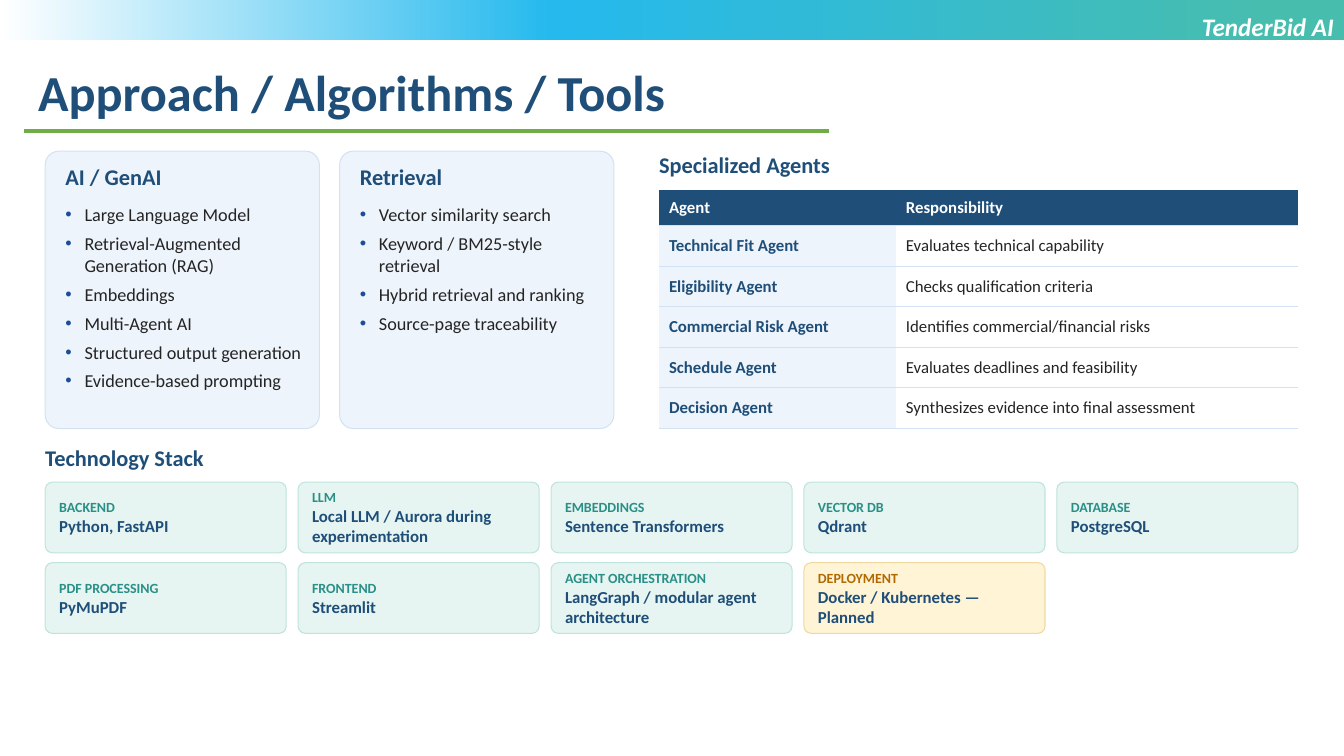
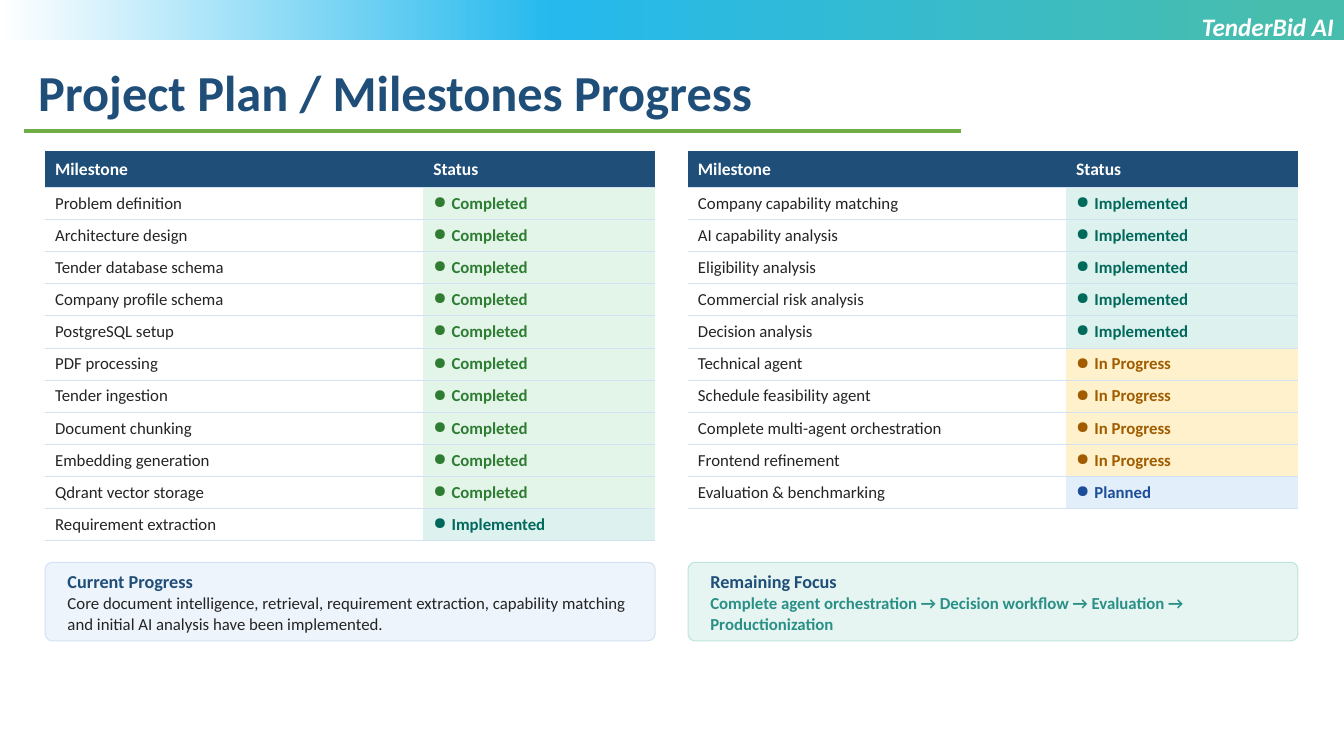
from collections import namedtuple
from copy import deepcopy

from lxml.etree import SubElement
from pptx import Presentation
from pptx.dml.color import RGBColor
from pptx.enum.shapes import MSO_CONNECTOR, MSO_SHAPE
from pptx.enum.text import MSO_ANCHOR as Anchor, MSO_AUTO_SIZE as AutoSize, PP_ALIGN as Align
from pptx.oxml.ns import qn
from pptx.util import Cm, Pt

Box = namedtuple("Box", "left top width height")
Line = namedtuple("Line", "text size color bold", defaults=[True])

FONT = "Calibri"
NAVY, INK, WHITE = "1F4E79", "242424", "FFFFFF"
BLUE, TEAL, AMBER, GREEN = "1C4D98", "2A8F86", "B26A00", "70AD47"
PALE_BLUE, BLUE_EDGE = "EEF4FB", "D3E2F3"
PALE_TEAL, TEAL_EDGE = "E6F5F2", "BFE3DC"
PALE_AMBER, AMBER_EDGE = "FFF4D6", "F0D9A0"
BAND_STOPS = [(0.05, "47BDAE"), (0.59, "25B9ED"), (1, WHITE)]
NO_TABLE_STYLE = "{2D5ABB26-0587-4C30-8999-92F81FD0307C}"
STATUS_COLORS = {
    "Completed": ("2E7D32", "E3F4E8"),
    "Implemented": ("00695C", "DDF1EE"),
    "In Progress": ("A15C00", "FFF1CC"),
    "Planned": (BLUE, "E3EEFB"),
}
SLIDE_WIDTH, SLIDE_HEIGHT = 33.87, 19.05
MARGIN, CONTENT_TOP, CONTENT_WIDTH = 1.14, 3.81, 31.57

AI_TOPICS = ["Large Language Model", "Retrieval-Augmented Generation (RAG)", "Embeddings",
             "Multi-Agent AI", "Structured output generation", "Evidence-based prompting"]
RETRIEVAL_TOPICS = ["Vector similarity search", "Keyword / BM25-style retrieval",
                    "Hybrid retrieval and ranking", "Source-page traceability"]
AGENTS = [
    ("Technical Fit Agent", "Evaluates technical capability"),
    ("Eligibility Agent", "Checks qualification criteria"),
    ("Commercial Risk Agent", "Identifies commercial/financial risks"),
    ("Schedule Agent", "Evaluates deadlines and feasibility"),
    ("Decision Agent", "Synthesizes evidence into final assessment"),
]
TECHNOLOGIES = [
    ("BACKEND", "Python, FastAPI"),
    ("LLM", "Local LLM / Aurora during experimentation"),
    ("EMBEDDINGS", "Sentence Transformers"),
    ("VECTOR DB", "Qdrant"),
    ("DATABASE", "PostgreSQL"),
    ("PDF PROCESSING", "PyMuPDF"),
    ("FRONTEND", "Streamlit"),
    ("AGENT ORCHESTRATION", "LangGraph / modular agent architecture"),
    ("DEPLOYMENT", "Docker / Kubernetes — Planned"),
]
EARLY_MILESTONES = {
    "Completed": ["Problem definition", "Architecture design", "Tender database schema",
                  "Company profile schema", "PostgreSQL setup", "PDF processing",
                  "Tender ingestion", "Document chunking", "Embedding generation",
                  "Qdrant vector storage"],
    "Implemented": ["Requirement extraction"],
}
LATE_MILESTONES = {
    "Implemented": ["Company capability matching", "AI capability analysis",
                    "Eligibility analysis", "Commercial risk analysis", "Decision analysis"],
    "In Progress": ["Technical agent", "Schedule feasibility agent",
                    "Complete multi-agent orchestration", "Frontend refinement"],
    "Planned": ["Evaluation & benchmarking"],
}


def rgb(color):
    return RGBColor.from_string(color)


def lengths(box):
    return [Cm(value) for value in box]


def place(shape, box):
    shape.left, shape.top, shape.width, shape.height = lengths(box)


def set_bullet(paragraph, character, indent, color):
    properties = paragraph._p.get_or_add_pPr()
    properties.set("marL", str(Cm(indent)))
    properties.set("indent", str(-Cm(indent)))
    bullet_color = SubElement(properties, qn("a:buClr"))
    SubElement(bullet_color, qn("a:srgbClr"), val=color)
    SubElement(properties, qn("a:buChar"), char=character)


def write(frame, lines, insets=(0, 0, 0, 0), anchor=Anchor.TOP, align=Align.LEFT,
          bullet=None, space_after=0, italic=False):
    frame.word_wrap = True
    frame.auto_size = AutoSize.NONE
    frame.vertical_anchor = anchor
    (frame.margin_left, frame.margin_top,
     frame.margin_right, frame.margin_bottom) = lengths(insets)
    for index, line in enumerate(lines):
        paragraph = frame.paragraphs[0] if index == 0 else frame.add_paragraph()
        if bullet:
            set_bullet(paragraph, *bullet)
        paragraph.alignment = align
        paragraph.space_before = Pt(0)
        paragraph.space_after = Pt(space_after)
        add_run(paragraph, line, italic)


def add_run(paragraph, line, italic=False):
    run = paragraph.add_run()
    run.text = line.text
    run.font.name = FONT
    run.font.size = Pt(line.size)
    run.font.bold = line.bold
    run.font.italic = italic
    run.font.color.rgb = rgb(line.color)


def add_text(slide, box, lines, **options):
    write(slide.shapes.add_textbox(*lengths(box)).text_frame, lines, **options)


def add_heading(slide, box, text):
    add_text(slide, box._replace(height=0.76), [Line(text, 16, NAVY)])


def add_card(slide, box, fill, edge, rounding):
    card = slide.shapes.add_shape(MSO_SHAPE.ROUNDED_RECTANGLE, *lengths(box))
    card.shadow.inherit = False
    card.adjustments[0] = rounding
    card.fill.solid()
    card.fill.fore_color.rgb = rgb(fill)
    card.line.color.rgb = rgb(edge)
    card.line.width = Pt(0.75)
    return card


def add_band(slide, box):
    band = slide.shapes.add_shape(MSO_SHAPE.RECTANGLE, *lengths(box))
    band.shadow.inherit = False
    band.line.fill.background()
    band.fill.gradient()
    band.fill.gradient_angle = 180
    stop_list = band.element.spPr.find(qn("a:gradFill")).find(qn("a:gsLst"))
    stop_list.append(deepcopy(stop_list[0]))
    for stop, (position, color) in zip(band.fill.gradient_stops, BAND_STOPS):
        stop.position = position
        stop.color.rgb = rgb(color)
    add_text(slide, Box(box.width / 2, 0.15, box.width / 2, 1.8),
             [Line("TenderBid AI", 18, WHITE)], insets=(0.25, 0.13, 0.25, 0.13),
             align=Align.RIGHT, italic=True)


def add_titled_slide(presentation, layout_name, title, rule_end):
    layout = presentation.slide_layouts.get_by_name(layout_name)
    slide = presentation.slides.add_slide(layout)
    add_band(slide, Box(0, 0, SLIDE_WIDTH, 1.02))
    place(slide.shapes.title, Box(0.71, 1.4, 29.51, 1.8))
    write(slide.shapes.title.text_frame, [Line(title, 36, NAVY)],
          insets=(0.25, 0.13, 0.25, 0.13))
    rule = slide.shapes.add_connector(MSO_CONNECTOR.STRAIGHT, Cm(0.61), Cm(3.3),
                                      Cm(rule_end), Cm(3.3))
    rule.line.color.rgb = rgb(GREEN)
    rule.line.width = Pt(2.25)
    SubElement(rule.element.spPr, qn("a:effectLst"))
    return slide


def add_topic_card(slide, box, placeholder, heading, topics):
    card = add_card(slide, box, PALE_BLUE, BLUE_EDGE, 0.05)
    placeholder.element.addprevious(card.element)
    left = box.left + 0.51
    add_heading(slide, Box(left, box.top + 0.3, box.width - 1.02, 0), heading)
    place(placeholder, Box(left, box.top + 1.32, box.width - 0.89, box.height - 1.52))
    write(placeholder.text_frame, [Line(topic, 13, INK, False) for topic in topics],
          bullet=("•", 0.48, BLUE), space_after=5)


def fill_cell(cell, line, fill, bullet=None):
    write(cell.text_frame, [line], bullet=bullet)
    cell.vertical_anchor = Anchor.MIDDLE
    (cell.margin_left, cell.margin_top,
     cell.margin_right, cell.margin_bottom) = lengths((0.25, 0.08, 0.2, 0.08))
    properties = cell._tc.get_or_add_tcPr()
    border = SubElement(properties, qn("a:lnB"), w=str(Pt(0.75)))
    border_fill = SubElement(border, qn("a:solidFill"))
    SubElement(border_fill, qn("a:srgbClr"), val=BLUE_EDGE)
    cell.fill.solid()
    cell.fill.fore_color.rgb = rgb(fill)


def add_table(slide, box, header, header_size, row_count, widths, row_height):
    frame = slide.shapes.add_table(row_count + 1, len(widths), *lengths(box))
    table = frame.table
    table.horz_banding = False
    next(frame.element.iter(qn("a:tableStyleId"))).text = NO_TABLE_STYLE
    for column, width in zip(table.columns, widths):
        column.width = Cm(width)
    for index, row in enumerate(table.rows):
        row.height = Cm(row_height if index else 0.91)
    for column, text in enumerate(header):
        fill_cell(table.cell(0, column), Line(text, header_size, WHITE), NAVY)
    return table


def add_agent_table(slide, box):
    add_heading(slide, box, "Specialized Agents")
    table_box = box._replace(top=box.top + 0.97, height=box.height - 0.97)
    table = add_table(slide, table_box, ["Agent", "Responsibility"], 12, len(AGENTS),
                      [5.97, box.width - 5.97], 1.02)
    for row, (agent, duty) in enumerate(AGENTS, 1):
        fill_cell(table.cell(row, 0), Line(agent, 12, NAVY), PALE_BLUE)
        fill_cell(table.cell(row, 1), Line(duty, 12, INK, False), WHITE)


def add_technology_grid(slide, box):
    add_heading(slide, box, "Technology Stack")
    columns, gap, height, pitch = 5, 0.3, 1.78, 2.03
    width = (box.width - gap * (columns - 1)) / columns
    for index, (label, tools) in enumerate(TECHNOLOGIES):
        row, column = divmod(index, columns)
        planned = label == "DEPLOYMENT"
        fill, edge = (PALE_AMBER, AMBER_EDGE) if planned else (PALE_TEAL, TEAL_EDGE)
        card_box = Box(box.left + column * (width + gap), box.top + 0.97 + row * pitch,
                       width, height)
        card = add_card(slide, card_box, fill, edge, 0.1)
        write(card.text_frame,
              [Line(label, 10, AMBER if planned else TEAL), Line(tools, 12, NAVY)],
              insets=(0.3, 0.08, 0.2, 0.08), anchor=Anchor.MIDDLE)


def add_milestone_table(slide, box, milestones):
    rows = [(name, status) for status, names in milestones.items() for name in names]
    table = add_table(slide, box, ["Milestone", "Status"], 12.5, len(rows),
                      [9.53, box.width - 9.53], 0.81)
    for row, (name, status) in enumerate(rows, 1):
        color, fill = STATUS_COLORS[status]
        fill_cell(table.cell(row, 0), Line(name, 12, INK, False), WHITE)
        fill_cell(table.cell(row, 1), Line(status, 12, color), fill, ("●", 0.46, color))


def add_summary(slide, box, fill, edge, heading, summary):
    card = add_card(slide, box, fill, edge, 0.09)
    write(card.text_frame, [Line(heading, 13, NAVY), summary], space_after=1,
          insets=(0.51, 0.1, 0.38, 0.1), anchor=Anchor.MIDDLE)


def build_approach_slide(presentation):
    slide = add_titled_slide(presentation, "Two Content", "Approach / Algorithms / Tools", 20.9)
    first_box = Box(MARGIN, CONTENT_TOP, 6.91, 6.99)
    second_box = first_box._replace(left=MARGIN + 7.42)
    add_topic_card(slide, first_box, slide.placeholders[1], "AI / GenAI", AI_TOPICS)
    add_topic_card(slide, second_box, slide.placeholders[2], "Retrieval", RETRIEVAL_TOPICS)
    add_agent_table(slide, Box(16.61, CONTENT_TOP, 16.1, 6.98))
    add_technology_grid(slide, Box(MARGIN, 11.18, CONTENT_WIDTH, 4.78))


def build_plan_slide(presentation):
    slide = add_titled_slide(presentation, "Title Only", "Project Plan / Milestones Progress", 24.23)
    width = 15.37
    right = MARGIN + CONTENT_WIDTH - width
    add_milestone_table(slide, Box(MARGIN, CONTENT_TOP, width, 9.82), EARLY_MILESTONES)
    add_milestone_table(slide, Box(right, CONTENT_TOP, width, 9.01), LATE_MILESTONES)
    progress_box = Box(MARGIN, 14.17, width, 1.98)
    add_summary(slide, progress_box, PALE_BLUE, BLUE_EDGE, "Current Progress",
                Line("Core document intelligence, retrieval, requirement extraction, capability "
                     "matching and initial AI analysis have been implemented.", 12, INK, False))
    add_summary(slide, progress_box._replace(left=right), PALE_TEAL, TEAL_EDGE, "Remaining Focus",
                Line("Complete agent orchestration → Decision workflow → Evaluation → "
                     "Productionization", 12, TEAL))


def main():
    presentation = Presentation()
    presentation.slide_width = Cm(SLIDE_WIDTH)
    presentation.slide_height = Cm(SLIDE_HEIGHT)
    build_approach_slide(presentation)
    build_plan_slide(presentation)
    presentation.save("out.pptx")


if __name__ == "__main__":
    main()
